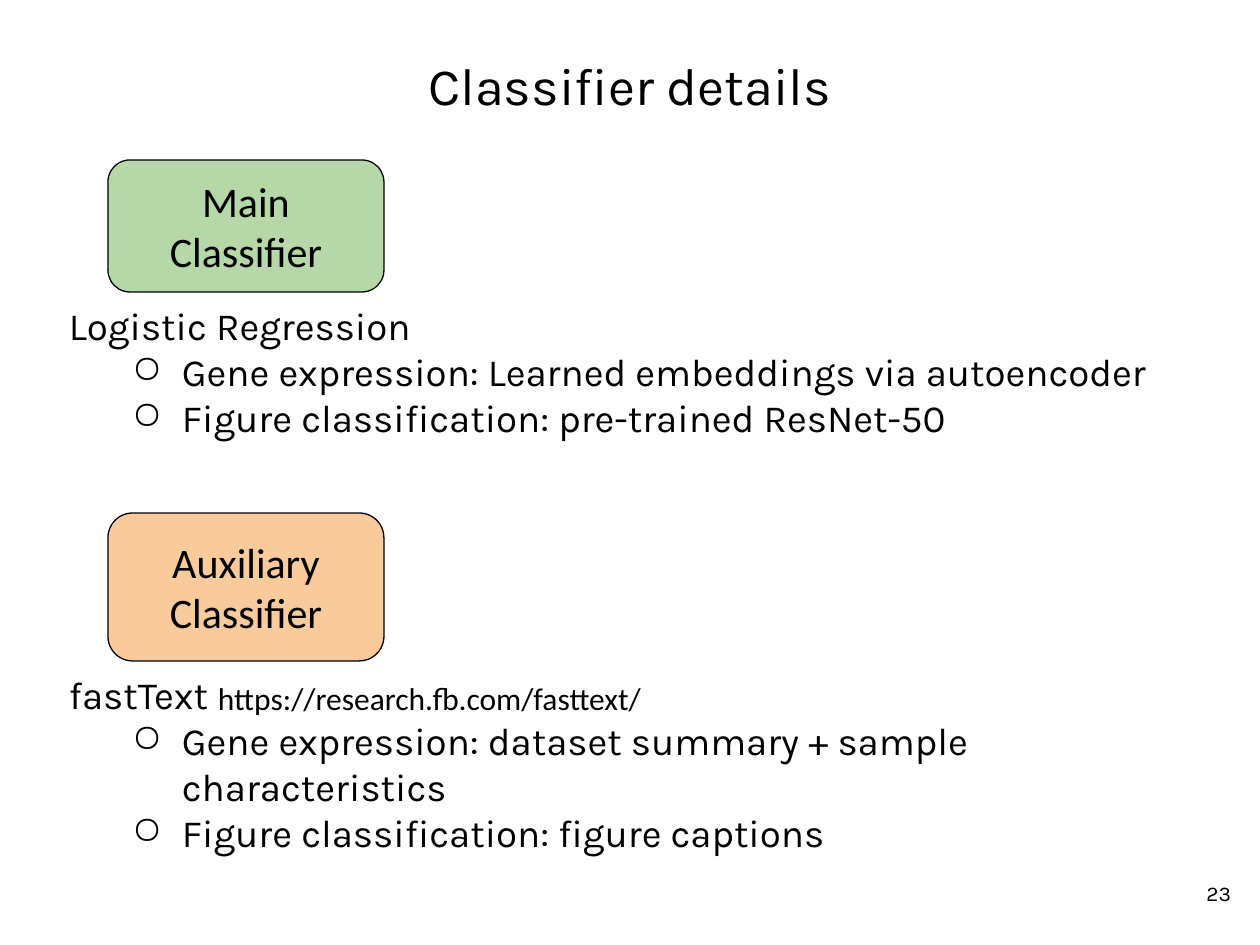
from dataclasses import dataclass

import pptx
import pptx.dml.color
import pptx.enum.shapes
import pptx.enum.text
import pptx.oxml.ns
import pptx.util
from lxml import etree

EMU_PER_PX = 914400 / 126
INSET = 13
COLORS = {"ink": "000000", "main": "B6D7A8", "auxiliary": "F9CB9C"}
ALIGN = pptx.enum.text.PP_ALIGN
ANCHOR = pptx.enum.text.MSO_ANCHOR


@dataclass(frozen=True)
class Area:
    left: int
    top: int
    width: int
    height: int


@dataclass(frozen=True)
class Classifier:
    label: str
    color: str
    label_area: Area
    model: str
    inputs: tuple[str, ...]
    details_area: Area


CLASSIFIERS = (
    Classifier(
        "Main Classifier", "main", Area(108, 160, 276, 132),
        "Logistic Regression",
        ("Gene expression: Learned embeddings via autoencoder",
         "Figure classification: pre-trained ResNet-50"),
        Area(43, 289, 1174, 170),
    ),
    Classifier(
        "Auxiliary Classifier", "auxiliary", Area(108, 513, 276, 148),
        "fastText",
        ("Gene expression: dataset summary + sample characteristics",
         "Figure classification: figure captions"),
        Area(43, 658, 1174, 213),
    ),
)


def px(value: int) -> pptx.util.Emu:
    return pptx.util.Emu(round(value * EMU_PER_PX))


def bounds(area: Area) -> tuple:
    return px(area.left), px(area.top), px(area.width), px(area.height)


def rgb(name: str) -> pptx.dml.color.RGBColor:
    return pptx.dml.color.RGBColor.from_string(COLORS[name])


def set_frame(frame, anchor=ANCHOR.TOP, inset_y: int = INSET, wrap: bool = True) -> None:
    frame.word_wrap = wrap
    frame.vertical_anchor = anchor
    frame.margin_left = frame.margin_right = px(INSET)
    frame.margin_top = frame.margin_bottom = px(inset_y)


def add_run(paragraph, text: str, size: int, font: str = "Karla") -> None:
    run = paragraph.add_run()
    run.text = text
    run.font.name = font
    run.font.size = pptx.util.Pt(size)
    run.font.color.rgb = rgb("ink")


def set_indent(paragraph, margin: int, hanging: int = 0) -> None:
    properties = paragraph._p.get_or_add_pPr()
    properties.set("marL", str(px(margin)))
    properties.set("indent", str(px(-hanging)))


def add_bullet(paragraph) -> None:
    qn = pptx.oxml.ns.qn
    properties = paragraph._p.get_or_add_pPr()
    color = etree.SubElement(properties, qn("a:buClr"))
    etree.SubElement(color, qn("a:srgbClr")).set("val", COLORS["ink"])
    etree.SubElement(properties, qn("a:buChar")).set("char", "○")


def add_line(slide, area: Area, text: str, size: int, align=ALIGN.LEFT,
             font: str = "Karla", **frame_options) -> None:
    """Add a text box that holds one paragraph."""
    frame = slide.shapes.add_textbox(*bounds(area)).text_frame
    set_frame(frame, **frame_options)
    paragraph = frame.paragraphs[0]
    paragraph.alignment = align
    add_run(paragraph, text, size, font)


def add_label(slide, classifier: Classifier) -> None:
    shape = slide.shapes.add_shape(
        pptx.enum.shapes.MSO_SHAPE.ROUNDED_RECTANGLE, *bounds(classifier.label_area))
    shape.shadow.inherit = False
    shape.fill.solid()
    shape.fill.fore_color.rgb = rgb(classifier.color)
    shape.line.color.rgb = rgb("ink")
    shape.line.width = pptx.util.Pt(0.75)
    set_frame(shape.text_frame, ANCHOR.MIDDLE)
    paragraph = shape.text_frame.paragraphs[0]
    paragraph.alignment = ALIGN.CENTER
    add_run(paragraph, classifier.label, 24, "Calibri")


def add_details(slide, classifier: Classifier) -> None:
    frame = slide.shapes.add_textbox(*bounds(classifier.details_area)).text_frame
    set_frame(frame)
    heading = frame.paragraphs[0]
    set_indent(heading, 13)
    add_run(heading, classifier.model, 22)
    for text in classifier.inputs:
        paragraph = frame.add_paragraph()
        paragraph.level = 1
        set_indent(paragraph, 126, 50)
        add_bullet(paragraph)
        add_run(paragraph, text, 22)


def main() -> None:
    presentation = pptx.Presentation()
    presentation.slide_width = px(1260)
    presentation.slide_height = px(945)
    slide = presentation.slides.add_slide(presentation.slide_layouts[6])

    add_line(slide, Area(43, 40, 1174, 105), "Classifier details", 30, ALIGN.CENTER)
    for classifier in CLASSIFIERS:
        add_details(slide, classifier)
        add_label(slide, classifier)
    add_line(slide, Area(205, 673, 455, 50), "https://research.fb.com/fasttext/", 18,
             font="Calibri", inset_y=6, wrap=False)
    add_line(slide, Area(1168, 857, 76, 72), "23", 12, ALIGN.RIGHT, anchor=ANCHOR.MIDDLE)
    presentation.save("out.pptx")


if __name__ == "__main__":
    main()
